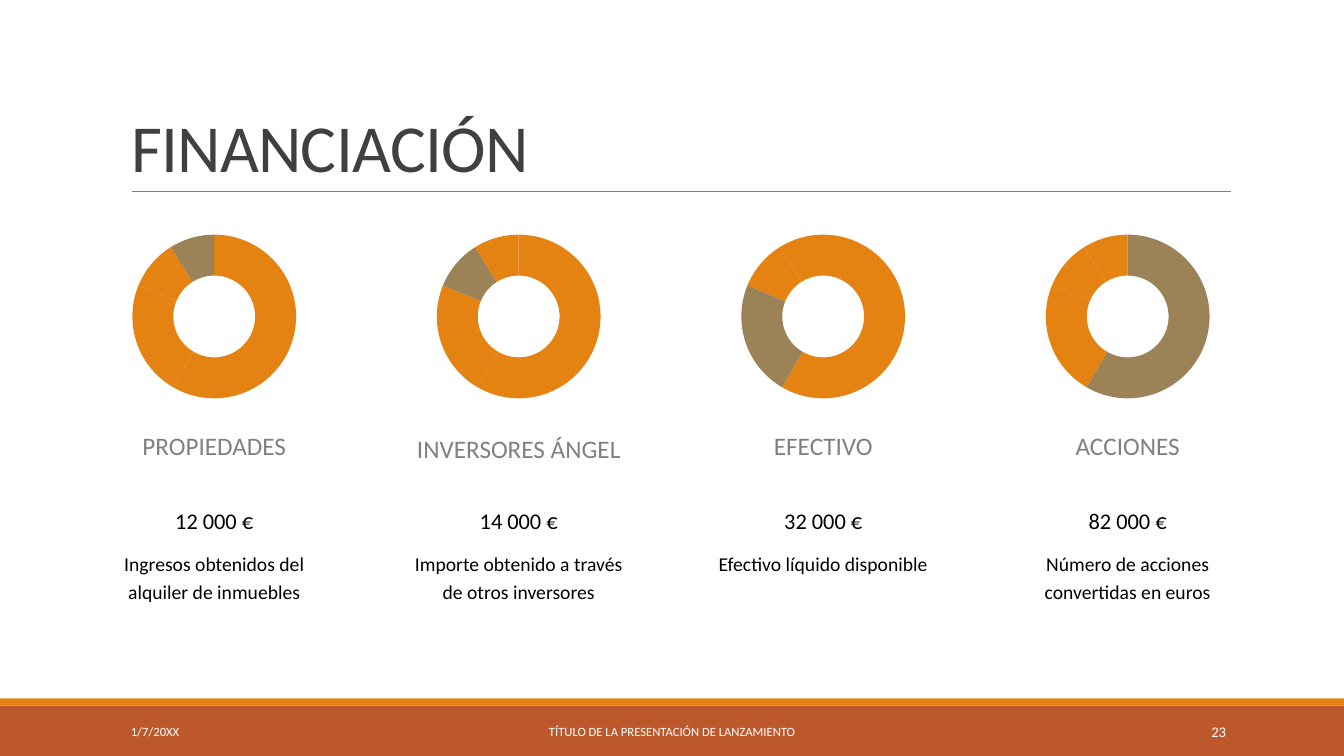
"""Build the funding slide: four doughnut charts with captions, amounts and notes."""
from dataclasses import dataclass

from pptx import Presentation
from pptx.chart.data import CategoryChartData
from pptx.dml.color import RGBColor
from pptx.enum.chart import XL_CHART_TYPE as ChartType
from pptx.enum.shapes import MSO_CONNECTOR as Connector, MSO_SHAPE as Preset
from pptx.enum.text import MSO_ANCHOR as Anchor, MSO_AUTO_SIZE as AutoSize, PP_ALIGN as Align
from pptx.oxml.ns import qn
from pptx.slide import Slide
from pptx.text.text import TextFrame
from pptx.util import Inches, Length, Pt


@dataclass(frozen=True)
class Theme:
    font: str = "Calibri"
    orange: RGBColor = RGBColor(0xE4, 0x83, 0x12)
    brown: RGBColor = RGBColor(0x9B, 0x83, 0x57)
    rust: RGBColor = RGBColor(0xBD, 0x58, 0x2C)
    grey: RGBColor = RGBColor(0x80, 0x80, 0x80)
    dark: RGBColor = RGBColor(0x40, 0x40, 0x40)
    black: RGBColor = RGBColor(0, 0, 0)
    white: RGBColor = RGBColor(0xFF, 0xFF, 0xFF)
    title_size: float = 48
    caption_size: float = 18
    amount_size: float = 16
    note_size: float = 14
    chart_size: float = 10
    number_size: float = 10.5
    footer_size: float = 9


@dataclass(frozen=True)
class Area:
    left: float
    top: float
    width: float
    height: float

    def lengths(self) -> tuple[Length, ...]:
        return tuple(Inches(value) for value in (self.left, self.top, self.width, self.height))


@dataclass(frozen=True)
class TextStyle:
    size: float
    color: RGBColor
    align: Align = Align.CENTER
    anchor: Anchor = Anchor.TOP
    spacing: float | Length = 1.0
    after: float = 0
    side_inset: float = 0.1


@dataclass(frozen=True)
class Source:
    caption: str
    amount: str
    note: str
    highlight: int
    caption_spacing: float = 0.9


@dataclass(frozen=True)
class FooterItem:
    text: str
    area: Area
    align: Align
    size: float


THEME = Theme()
SHARES = (59, 23, 10, 9)
COLUMN_LEFT, COLUMN_PITCH, COLUMN_WIDTH = 1, 3.02, 2.25
CHART_WIDTH = 2
SOURCES = (
    Source("PROPIEDADES", "12 000 €", "Ingresos obtenidos del alquiler de inmuebles", 3),
    Source("INVERSORES ÁNGEL", "14 000 €", "Importe obtenido a través de otros inversores", 2, 1.0),
    Source("EFECTIVO", "32 000 €", "Efectivo líquido disponible", 1),
    Source("ACCIONES", "82 000 €", "Número de acciones convertidas en euros", 0),
)
FOOTER = (
    FooterItem("1/7/20XX", Area(1.2, 7.06, 2.7, 0.4), Align.LEFT, THEME.footer_size),
    FooterItem("TÍTULO DE LA PRESENTACIÓN DE LANZAMIENTO", Area(4.03, 7.06, 5.27, 0.4),
               Align.CENTER, THEME.footer_size),
    FooterItem("23", Area(10.83, 7.06, 1.43, 0.4), Align.RIGHT, THEME.number_size),
)


def write_text(frame: TextFrame, text: str, style: TextStyle) -> None:
    frame.word_wrap = True
    frame.auto_size = AutoSize.NONE
    frame.vertical_anchor = style.anchor
    frame.margin_left = frame.margin_right = Inches(style.side_inset)
    frame.margin_top = frame.margin_bottom = Inches(0.05)
    para = frame.paragraphs[0]
    para.add_run().text = text
    para.alignment = style.align
    para.line_spacing = style.spacing
    para.space_after = Pt(style.after)
    para.font.name = THEME.font
    para.font.size = Pt(style.size)
    para.font.color.rgb = style.color


def add_text(page: Slide, area: Area, text: str, style: TextStyle) -> None:
    write_text(page.shapes.add_textbox(*area.lengths()).text_frame, text, style)


def add_band(page: Slide, area: Area, color: RGBColor) -> None:
    band = page.shapes.add_shape(Preset.RECTANGLE, *area.lengths())
    band.shadow.inherit = False
    band.fill.solid()
    band.fill.fore_color.rgb = color
    band.line.fill.background()


def add_title(page: Slide, text: str) -> None:
    title = page.shapes.title
    title.left, title.top, title.width, title.height = Area(1.2, 0.31, 11, 1.59).lengths()
    style = TextStyle(THEME.title_size, THEME.dark, Align.LEFT, Anchor.BOTTOM, 0.85)
    write_text(title.text_frame, text, style)
    span = title.text_frame.paragraphs[0].runs[0]
    span._r.get_or_add_rPr().set("spc", "-50")


def add_rule(page: Slide) -> None:
    rule = page.shapes.add_connector(
        Connector.STRAIGHT, Inches(1.31), Inches(1.9), Inches(12.21), Inches(1.9))
    rule.line.color.rgb = THEME.grey
    rule.line.width = Pt(0.5)
    properties = rule._element.spPr
    properties.append(properties.makeelement(qn("a:effectLst"), {}))


def add_doughnut(page: Slide, area: Area, highlight: int) -> None:
    data = CategoryChartData()
    data.categories = [str(number) for number in range(1, len(SHARES) + 1)]
    data.add_series("Series 1", SHARES)
    chart = page.shapes.add_chart(ChartType.DOUGHNUT, *area.lengths(), data).chart
    chart.has_legend = False
    chart.has_title = False
    chart.font.name = THEME.font
    chart.font.size = Pt(THEME.chart_size)
    chart.font.color.rgb = THEME.black
    plot = chart.plots[0]
    plot.vary_by_categories = True
    for index in range(len(SHARES)):
        slice_format = plot.series[0].points[index].format
        slice_format.fill.solid()
        slice_format.fill.fore_color.rgb = THEME.brown if index == highlight else THEME.orange
        slice_format.line.fill.background()


def add_source(page: Slide, left: float, source: Source) -> None:
    chart_left = left + (COLUMN_WIDTH - CHART_WIDTH) / 2
    add_doughnut(page, Area(chart_left, 2.19, CHART_WIDTH, 1.9), source.highlight)
    rows = (
        (source.caption, 4.25, 0.6, THEME.caption_size, THEME.grey, source.caption_spacing),
        (source.amount, 4.97, 0.3, THEME.amount_size, THEME.black, Pt(20)),
        (source.note, 5.38, 1, THEME.note_size, THEME.black, Pt(20)),
    )
    for text, top, height, size, color, spacing in rows:
        style = TextStyle(size, color, spacing=spacing, after=2, side_inset=0)
        add_text(page, Area(left, top, COLUMN_WIDTH, height), text, style)


def main() -> None:
    deck = Presentation()
    deck.slide_width, deck.slide_height = Inches(13.33), Inches(7.5)
    page = deck.slides.add_slide(deck.slide_layouts.get_by_name("Title Only"))
    add_band(page, Area(0, 7, 13.33, 0.5), THEME.rust)
    add_band(page, Area(0, 6.93, 13.33, 0.07), THEME.orange)
    add_rule(page)
    add_title(page, "FINANCIACIÓN")
    for item in FOOTER:
        add_text(page, item.area, item.text,
                 TextStyle(item.size, THEME.white, item.align, Anchor.MIDDLE))
    for column, source in enumerate(SOURCES):
        add_source(page, COLUMN_LEFT + column * COLUMN_PITCH, source)
    deck.save("out.pptx")


if __name__ == "__main__":
    main()
